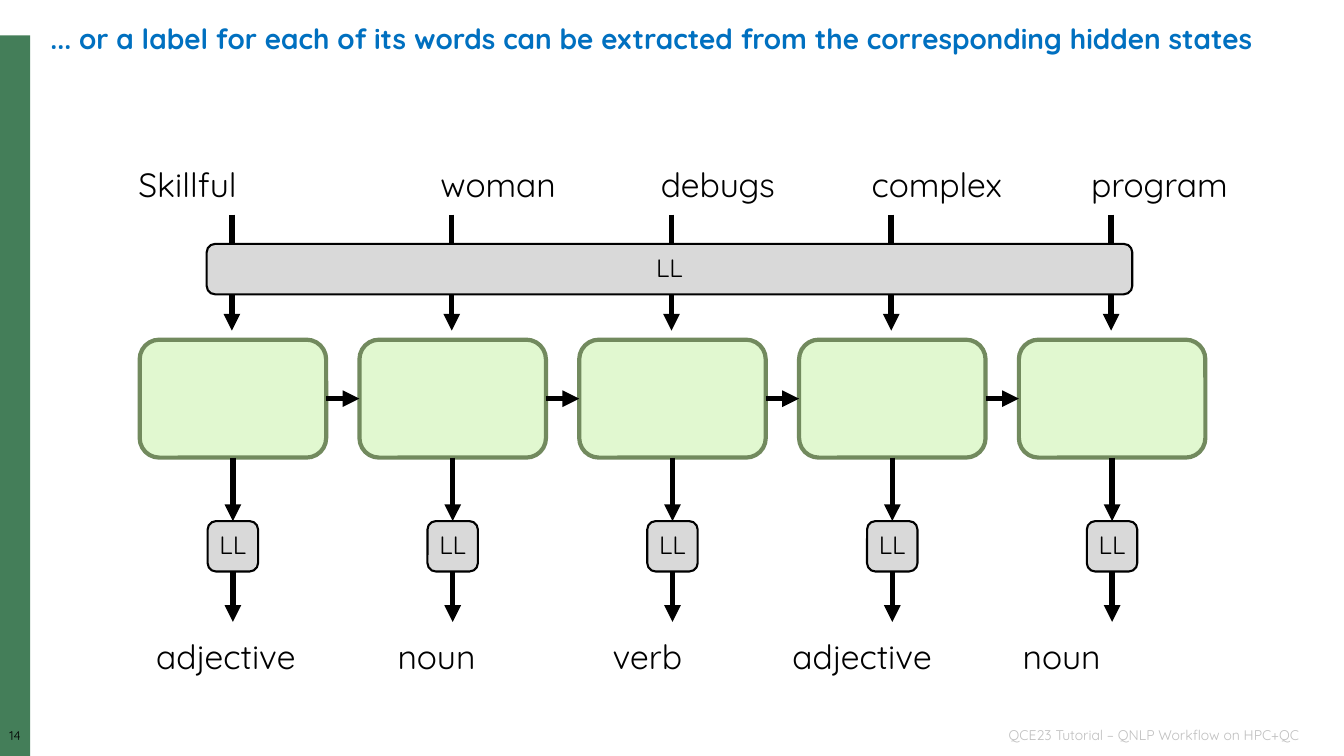
from lxml.etree import SubElement
from pptx import Presentation
from pptx.dml.color import RGBColor
from pptx.enum.shapes import MSO_CONNECTOR, MSO_SHAPE
from pptx.enum.text import MSO_ANCHOR, PP_ALIGN
from pptx.oxml.ns import qn
from pptx.util import Inches, Pt

# Content
TITLE = "... or a label for each of its words can be extracted from the corresponding hidden states"
FOOTER = "QCE23 Tutorial – QNLP Workflow on HPC+QC"
PAGE = "14"
LAYER = "LL"
# word, centre of word, label, centre of label
STEPS = [
    ("Skillful", 1.86, "adjective", 2.24),
    ("woman", 4.94, "noun", 4.33),
    ("debugs", 7.12, "verb", 6.42),
    ("complex", 9.29, "adjective", 8.55),
    ("program", 11.5, "noun", 10.53),
]

# Grid, in inches
FONT = "Quicksand"
WIDTH, HEIGHT = 13.33, 7.5
FIRST, PITCH = 2.31, 2.18          # centre of first column, column spacing
CELL_W, CELL_TOP, CELL_H = 1.85, 3.37, 1.17
LAYER_SIZE, LAYER_TOP = 0.5, 5.17
BAR = (2.05, 2.42, 9.18, LAYER_SIZE)
WORD_Y, LABEL_Y, TEXT_W, TEXT_H = 1.85, 6.53, 2, 0.5
GREY, BLACK = "D9D9D9", "000000"


def color(value):
    return RGBColor.from_string(value)


def write(shape, text, size, hue=BLACK, align=PP_ALIGN.CENTER, bold=False, inset=0, wrap=True):
    tf = shape.text_frame
    tf.word_wrap = wrap
    tf.vertical_anchor = MSO_ANCHOR.MIDDLE
    tf.margin_left = tf.margin_right = Inches(inset)
    tf.margin_top = tf.margin_bottom = 0
    p = tf.paragraphs[0]
    p.alignment = align
    p.line_spacing = 0.9
    r = p.add_run()
    r.text = text
    r.font.name, r.font.size, r.font.bold = FONT, Pt(size), bold
    r.font.color.rgb = color(hue)


def label(text, x, y, w, h, size, **style):
    write(s.shapes.add_textbox(*map(Inches, (x, y, w, h))), text, size, **style)


def box(kind, x, y, w, h, fill, line=None, weight=1.5):
    sp = s.shapes.add_shape(kind, *map(Inches, (x, y, w, h)))
    sp.shadow.inherit = False
    sp.fill.solid()
    sp.fill.fore_color.rgb = color(fill)
    if line:
        sp.line.color.rgb = color(line)
        sp.line.width = Pt(weight)
    else:
        sp.line.fill.background()
    return sp


def arrow(x1, y1, x2, y2):
    c = s.shapes.add_connector(MSO_CONNECTOR.STRAIGHT, *map(Inches, (x1, y1, x2, y2)))
    c.line.color.rgb = color(BLACK)
    c.line.width = Pt(4)
    SubElement(c.line._get_or_add_ln(), qn("a:tailEnd"), type="triangle")
    SubElement(c._element.spPr, qn("a:effectLst"))


def layer(x, y, w, h):
    write(box(MSO_SHAPE.ROUNDED_RECTANGLE, x, y, w, h, GREY, BLACK), LAYER, 18)


prs = Presentation()
prs.slide_width, prs.slide_height = Inches(WIDTH), Inches(HEIGHT)
s = prs.slides.add_slide(prs.slide_layouts[5])

# Title
title = s.shapes.title
title.left, title.top, title.width, title.height = map(Inches, (0.4, 0.2, 12.59, 0.4))
write(title, TITLE, 20, "0070C0", PP_ALIGN.LEFT, bold=True, inset=0.1)

# Side band, page number and footer
box(MSO_SHAPE.RECTANGLE, 0, 0.35, 0.3, HEIGHT - 0.35, "447E59")
label(PAGE, 0, 7.21, 0.3, 0.2, 9)
label(FOOTER, 8.76, 7.2, 4.22, 0.2, 10, hue="BFBFBF", align=PP_ALIGN.RIGHT, inset=0.1)

# Words entering the shared linear layer
centres = [FIRST + i * PITCH for i in range(len(STEPS))]
for x, (word, word_x, _, _) in zip(centres, STEPS):
    label(word, word_x - TEXT_W / 2, WORD_Y - TEXT_H / 2, TEXT_W, TEXT_H, 24, wrap=False)
    arrow(x - 0.01, 2.13, x - 0.01, 3.28)
layer(*BAR)

# Recurrent cells, each with its own layer and label
cell_bottom = CELL_TOP + CELL_H
for x, (_, _, tag, tag_x) in zip(centres, STEPS):
    box(MSO_SHAPE.ROUNDED_RECTANGLE, x - CELL_W / 2, CELL_TOP, CELL_W, CELL_H, "E1F8D0", "728A5E", 3)
    arrow(x, cell_bottom, x, LAYER_TOP)
    arrow(x, LAYER_TOP + LAYER_SIZE, x, 6.17)
    layer(x - LAYER_SIZE / 2, LAYER_TOP, LAYER_SIZE, LAYER_SIZE)
    label(tag, tag_x - TEXT_W / 2, LABEL_Y - TEXT_H / 2, TEXT_W, TEXT_H, 24, wrap=False)

# Hidden state passed from cell to cell
for x, following in zip(centres, centres[1:]):
    y = CELL_TOP + CELL_H / 2
    arrow(x + CELL_W / 2, y, following - CELL_W / 2, y)

prs.save("out.pptx")
